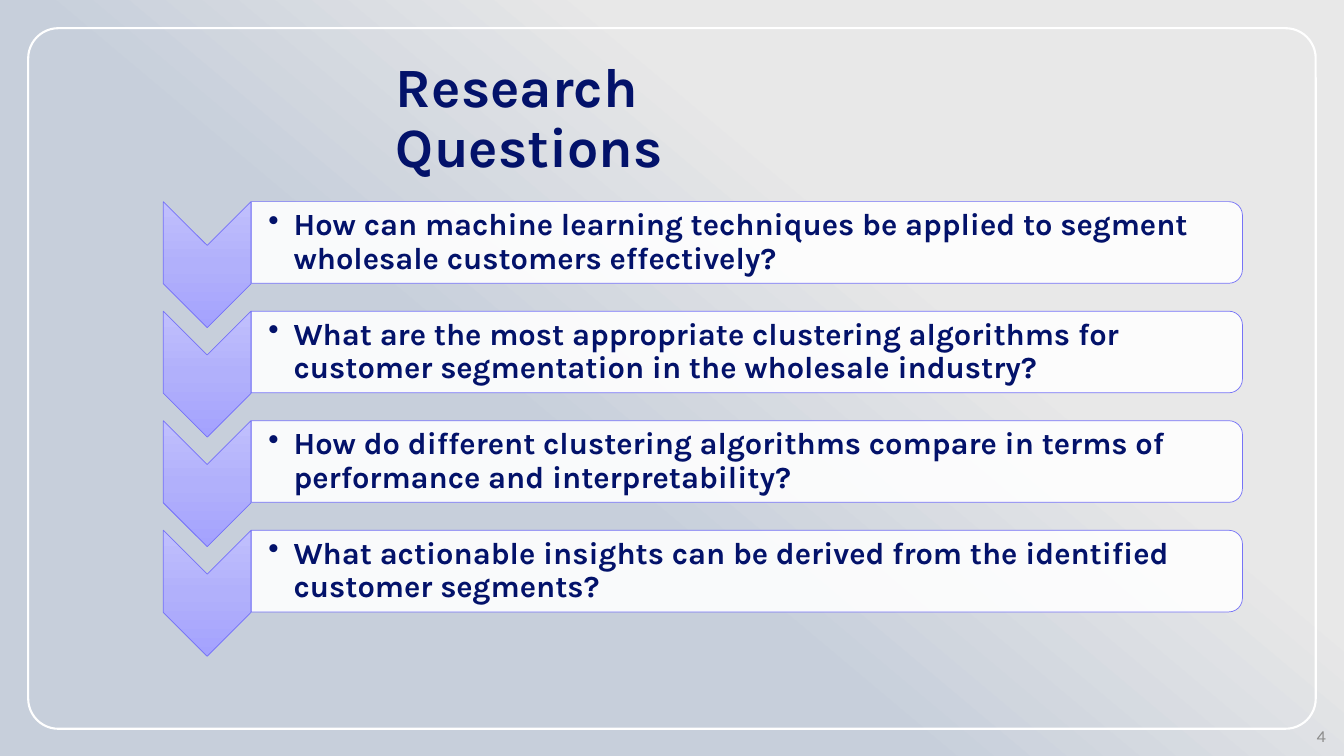
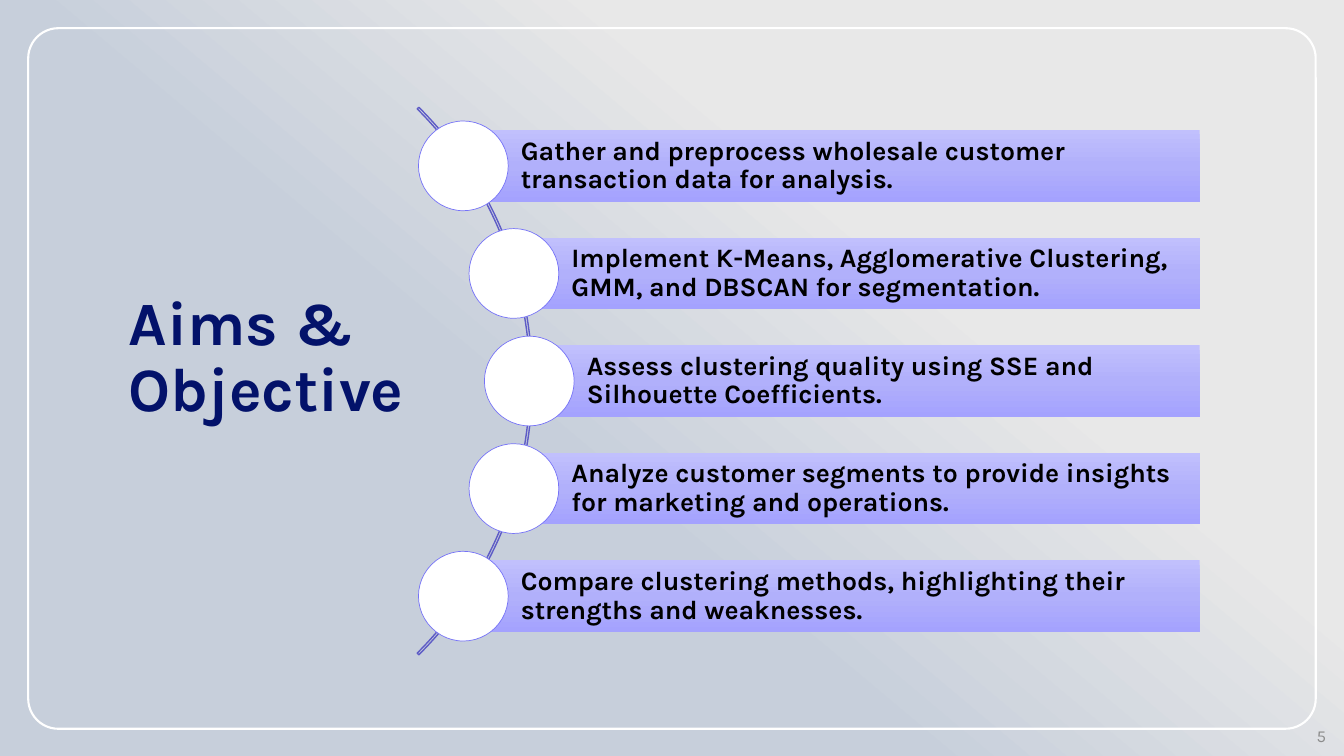
from math import sqrt

from lxml.etree import SubElement
from pptx import Presentation
from pptx.dml.color import RGBColor
from pptx.enum.shapes import MSO_SHAPE
from pptx.enum.text import MSO_ANCHOR, PP_ALIGN
from pptx.oxml.ns import qn
from pptx.util import Emu, Inches, Pt

# Shared style
NAVY = RGBColor(0x03, 0x12, 0x6A)
BLACK = RGBColor(0x00, 0x00, 0x00)
GREY = RGBColor(0x8C, 0x8C, 0x8C)
WHITE = RGBColor(0xFF, 0xFF, 0xFF)
VIOLET = RGBColor(0x76, 0x73, 0xF7)
INDIGO = RGBColor(0x5E, 0x5C, 0xC6)
LILAC_STOPS = [(0, RGBColor(0xC1, 0xC0, 0xFD), 100),
               (50, RGBColor(0xB1, 0xB0, 0xFB), 100),
               (100, RGBColor(0xA4, 0xA2, 0xFE), 100)]
PAGE_STOPS = [(33, RGBColor(0xE8, 0xE8, 0xE8), 100),
              (59, RGBColor(0xC7, 0xCF, 0xDB), 65)]
FONT = "Karla"
WIDTH, HEIGHT = Inches(13.33), Inches(7.5)
TEXT_INSETS = (0.1, 0.05, 0.1, 0.05)

QUESTIONS = [
    "How can machine learning techniques be applied to segment wholesale customers effectively?",
    "What are the most appropriate clustering algorithms for customer segmentation in the wholesale industry?",
    "How do different clustering algorithms compare in terms of performance and interpretability?",
    "What actionable insights can be derived from the identified customer segments?",
]
OBJECTIVES = [
    "Gather and preprocess wholesale customer transaction data for analysis.",
    "Implement K-Means, Agglomerative Clustering, GMM, and DBSCAN for segmentation.",
    "Assess clustering quality using SSE and Silhouette Coefficients.",
    "Analyze customer segments to provide insights for marketing and operations.",
    "Compare clustering methods, highlighting their strengths and weaknesses.",
]


# Lengths as percentages of the slide
def across(percent):
    return Emu(round(WIDTH * percent / 100))


def down(percent):
    return Emu(round(HEIGHT * percent / 100))


def area(left, top, width, height):
    return across(left), down(top), across(width), down(height)


# Fills
def add_alpha(color_element, percent):
    SubElement(color_element, qn("a:alpha")).set("val", str(percent * 1000))


def fill_gradient(fill, holder, stops, clockwise):
    fill.gradient()
    fill.gradient_angle = (360 - clockwise) % 360
    stop_list = holder.xpath(".//a:gsLst")[0]
    for old_stop in list(stop_list):
        stop_list.remove(old_stop)
    for position, color, opacity in stops:
        stop = SubElement(stop_list, qn("a:gs"))
        stop.set("pos", str(position * 1000))
        color_element = SubElement(stop, qn("a:srgbClr"))
        color_element.set("val", str(color))
        if opacity < 100:
            add_alpha(color_element, opacity)


# Shapes and text
def add_outline(slide, kind, place, fill=None, line=None, line_width=0.5):
    shape = slide.shapes.add_shape(kind, *place)
    shape.shadow.inherit = False
    if fill is None:
        shape.fill.background()
    else:
        shape.fill.solid()
        shape.fill.fore_color.rgb = fill
    if line is None:
        shape.line.fill.background()
    else:
        shape.line.color.rgb = line
        shape.line.width = Pt(line_width)
    return shape


def add_turned(slide, kind, place, **style):
    """Add a shape that covers the given place once turned by 90 degrees."""
    left, top, width, height = place
    shift = (width - height) // 2
    shape = add_outline(slide, kind, (left + shift, top - shift, height, width), **style)
    shape.rotation = 90
    return shape


def write(box, text, size, color, bold=True, align=PP_ALIGN.LEFT,
          insets=TEXT_INSETS, line_spacing=0.9, bullet=False):
    frame = box.text_frame
    frame.word_wrap = True
    frame.vertical_anchor = MSO_ANCHOR.MIDDLE
    (frame.margin_left, frame.margin_top,
     frame.margin_right, frame.margin_bottom) = map(Inches, insets)
    para = frame.paragraphs[0]
    para.text = text
    para.alignment = align
    para.line_spacing = line_spacing
    if bullet:
        properties = para._p.get_or_add_pPr()
        properties.set("marL", str(Inches(0.25)))
        properties.set("indent", str(-Inches(0.25)))
        SubElement(properties, qn("a:buChar")).set("char", "•")
    font = para.runs[0].font
    font.name, font.size, font.bold = FONT, Pt(size), bold
    font.color.rgb = color


def add_text(slide, place, text, size, color, **style):
    write(slide.shapes.add_textbox(*place), text, size, color, **style)


def add_page(deck, number, title, title_place, title_size):
    page = deck.slides.add_slide(deck.slide_layouts[6])
    fill_gradient(page.background.fill, page.element, PAGE_STOPS, 130)
    border = add_outline(page, MSO_SHAPE.ROUNDED_RECTANGLE,
                         area(2.1, 3.73, 95.8, 92.67), line=WHITE, line_width=1.5)
    border.adjustments[0] = 0.043
    add_text(page, title_place, title, title_size, NAVY)
    add_text(page, area(76.9, 95.73, 22.5, 3.33), str(number), 12, GREY,
             bold=False, align=PP_ALIGN.RIGHT, line_spacing=1.0)
    return page


# Chevron list
def add_question(page, top, text):
    chevron = add_turned(page, MSO_SHAPE.CHEVRON, area(12.15, top, 6.53, 16.67), line=VIOLET)
    fill_gradient(chevron.fill, chevron.element, LILAC_STOPS, 0)
    card = add_turned(page, MSO_SHAPE.ROUND_2_SAME_RECTANGLE,
                      area(18.7, top, 73.74, 10.8), fill=WHITE, line=VIOLET)
    add_alpha(card.element.xpath("p:spPr/a:solidFill/a:srgbClr")[0], 90)
    add_text(page, area(18.7, top + 0.5, 73.4, 9.8), text, 22, NAVY,
             insets=(0.17, 0.02, 0.02, 0.02), bullet=True)


# Discs along an arc, each with a bar to its right
def add_objectives(page, texts):
    center_x, center_y = across(10.8), down(50.4)
    orbit, arc_radius = down(50.8), down(51.2)
    disc_size, bar_height, pitch = down(11.87), down(9.5), down(14.23)
    bar_right = across(89.27)

    arc = add_outline(page, MSO_SHAPE.BLOCK_ARC,
                      (center_x - arc_radius, center_y - arc_radius,
                       2 * arc_radius, 2 * arc_radius), line=INDIGO, line_width=1)
    for index, value in enumerate((189, 27, 0.003)):
        arc.adjustments[index] = value

    for index, text in enumerate(texts):
        offset = round((index - (len(texts) - 1) / 2) * pitch)
        x = center_x + round(sqrt(orbit ** 2 - offset ** 2))
        y = center_y + offset
        bar = add_outline(page, MSO_SHAPE.RECTANGLE,
                          (x, y - bar_height // 2, bar_right - x, bar_height))
        fill_gradient(bar.fill, bar.element, LILAC_STOPS, 90)
        write(bar, text, 19, BLACK, insets=(0.57, 0.05, 0.05, 0.05))
        add_outline(page, MSO_SHAPE.OVAL,
                    (x - disc_size // 2, y - disc_size // 2, disc_size, disc_size),
                    fill=WHITE, line=VIOLET)


def main():
    deck = Presentation()
    deck.slide_width, deck.slide_height = WIDTH, HEIGHT

    questions = add_page(deck, 4, "Research Questions", area(28.73, 9.87, 40.28, 12), 39.6)
    for index, text in enumerate(QUESTIONS):
        add_question(questions, 26.67 + 14.49 * index, text)

    aims = add_page(deck, 5, "Aims & Objective", area(8.85, 12.4, 32.1, 70), 44)
    add_objectives(aims, OBJECTIVES)

    deck.save("out.pptx")


if __name__ == "__main__":
    main()
